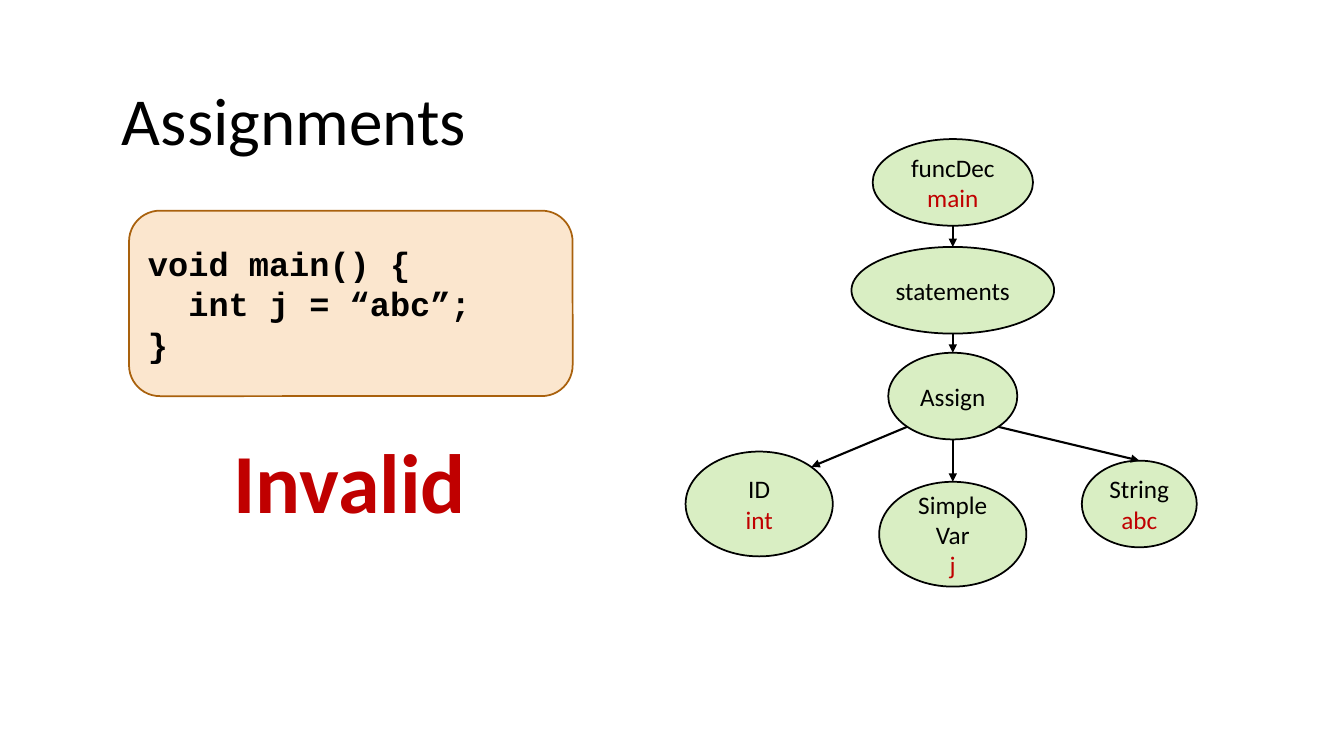
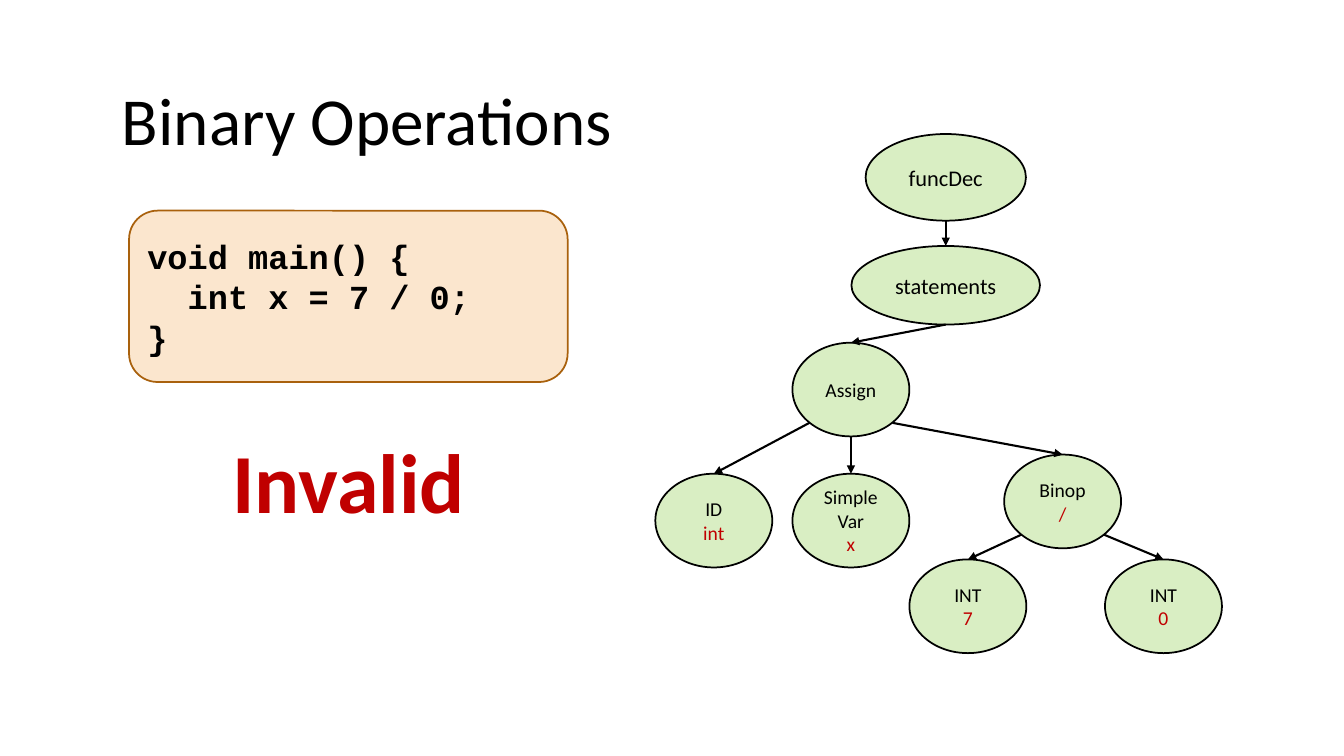
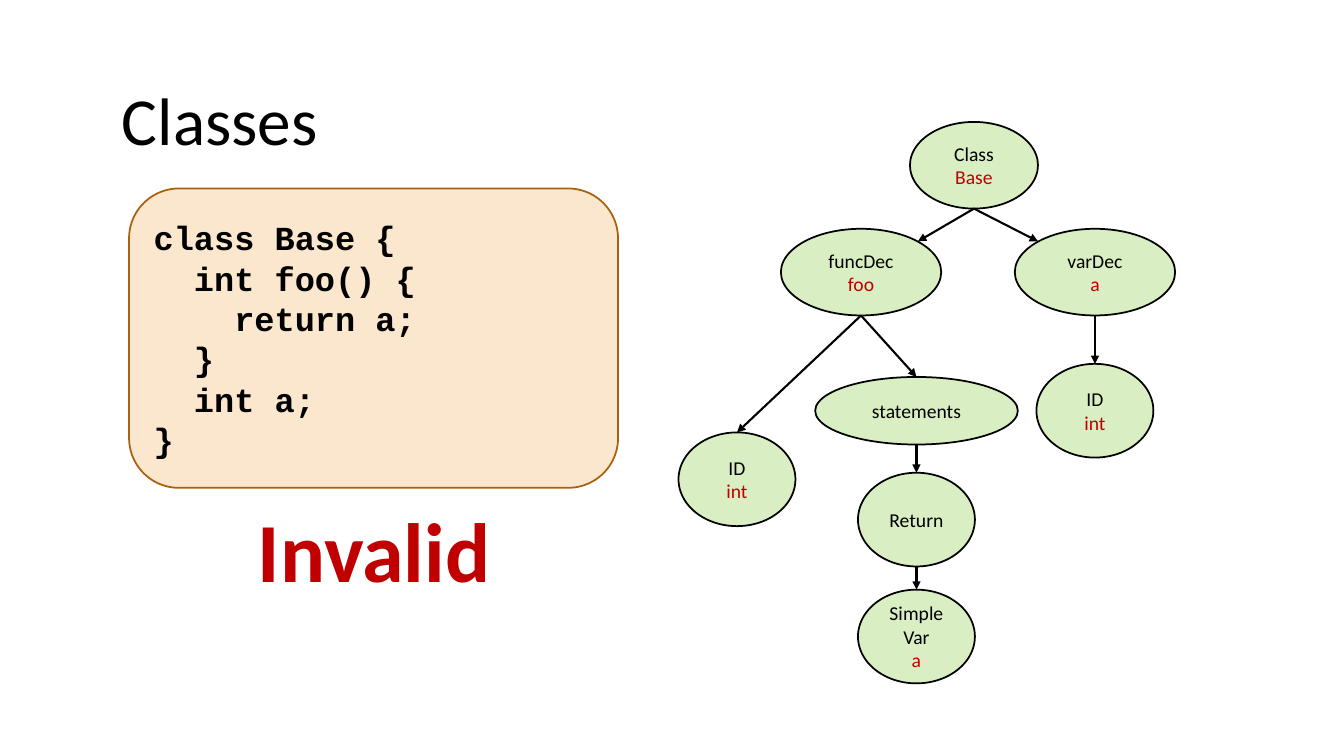
from lxml import etree
from pptx import Presentation
from pptx.dml.color import RGBColor
from pptx.enum.shapes import MSO_CONNECTOR, MSO_SHAPE
from pptx.enum.text import MSO_ANCHOR, MSO_AUTO_SIZE, PP_ALIGN
from pptx.oxml.ns import qn
from pptx.util import Inches, Pt

BLACK = RGBColor(0x00, 0x00, 0x00)
RED = RGBColor(0xC0, 0x00, 0x00)
GREEN = RGBColor(0x92, 0xD0, 0x50)
CREAM = RGBColor(0xFB, 0xE6, 0xCE)
BROWN = RGBColor(0xA9, 0x61, 0x0D)
BODY, MONO = "Calibri", "Courier New"
LEFT, CENTER = PP_ALIGN.LEFT, PP_ALIGN.CENTER
TOP, MIDDLE = MSO_ANCHOR.TOP, MSO_ANCHOR.MIDDLE
OVAL, ROUND = MSO_SHAPE.OVAL, MSO_SHAPE.ROUNDED_RECTANGLE
STRAIGHT = MSO_CONNECTOR.STRAIGHT
NO_FIT = MSO_AUTO_SIZE.NONE

TITLE_BOX = (1.11, 0.73, 11.09, 0.91)
TITLE_ONLY = 5
ALPHA = 34000

# Where an arrow meets an oval, in half widths and half heights from its centre
DIAG = 0.71
SITES = {
    "top": (0, -1), "bottom": (0, 1),
    "top left": (-DIAG, -DIAG), "top right": (DIAG, -DIAG),
    "low left": (-DIAG, DIAG), "low right": (DIAG, DIAG),
}
DOWN = ("bottom", "top")

# Each slide: title, code, boxes, tree origin, nodes and edges.
# Node: text, red value, centre x, top, width, height, font size.
# Edge: parent, child, site on the parent, site on the child.
SMALL = (1.16, 0.93, 14)
WIDE = (1.59, 0.86)
PAGES = [
    {
        "title": "Assignments",
        "code": "void main() {\n  int j = “abc”;\n}",
        "panel": (1.28, 2.09, 4.4, 1.84),
        "verdict": (1.94, 4.21, 3.06, 1.11),
        "origin": (6.8, 1.38),
        "nodes": {
            "func": ("funcDec", "main", 2.65, 0, *WIDE, 18),
            "body": ("statements", "", 2.65, 1.07, 2.01, 0.86, 18),
            "assign": ("Assign", "", 2.65, 2.12, 1.28, 0.86, 18),
            "type": ("ID", "int", 0.73, 3.1, 1.46, 1.04, 18),
            "var": ("Simple\nVar", "j", 2.65, 3.4, 1.46, 1.04, 18),
            "string": ("String", "abc", 4.5, 3.19, 1.14, 0.86, 18),
        },
        "edges": [
            ("func", "body", *DOWN),
            ("body", "assign", *DOWN),
            ("assign", "type", "low left", "top right"),
            ("assign", "var", *DOWN),
            ("assign", "string", "low right", "top"),
        ],
    },
    {
        "title": "Binary Operations",
        "code": "void main() {\n  int x = 7 / 0;\n}",
        "panel": (1.28, 2.09, 4.35, 1.7),
        "verdict": (1.93, 4.21, 3.06, 1.11),
        "origin": (6.5, 1.33),
        "nodes": {
            "func": ("funcDec", "", 2.88, 0, *WIDE, 16),
            "body": ("statements", "", 2.88, 1.11, 1.87, 0.78, 16),
            "assign": ("Assign", "", 1.94, 2.07, *SMALL),
            "type": ("ID", "int", 0.58, 3.37, *SMALL),
            "var": ("Simple\nVar", "x", 1.94, 3.37, *SMALL),
            "binop": ("Binop", "/", 4.04, 3.18, *SMALL),
            "seven": ("INT", "7", 3.1, 4.22, *SMALL),
            "zero": ("INT", "0", 5.04, 4.22, *SMALL),
        },
        "edges": [
            ("func", "body", *DOWN),
            ("body", "assign", *DOWN),
            ("assign", "type", "low left", "top"),
            ("assign", "var", *DOWN),
            ("assign", "binop", "low right", "top"),
            ("binop", "seven", "low left", "top"),
            ("binop", "zero", "low right", "top"),
        ],
    },
    {
        "title": "Classes",
        "code": "class Base {\n  int foo() {\n    return a;\n  }\n  int a;\n}",
        "panel": (1.28, 1.87, 4.85, 2.97),
        "verdict": (2.18, 4.9, 3.06, 1.11),
        "origin": (6.73, 1.21),
        "nodes": {
            "class": ("Class", "Base", 2.93, 0, 1.27, 0.86, 14),
            "func": ("funcDec", "foo", 1.81, 1.06, *WIDE, 14),
            "field": ("varDec", "a", 4.13, 1.06, *WIDE, 14),
            "type": ("ID", "int", 0.58, 3.08, *SMALL),
            "body": ("statements", "", 2.36, 2.53, 2.01, 0.67, 14),
            "return": ("Return", "", 2.36, 3.48, *SMALL),
            "var": ("Simple\nVar", "a", 2.36, 4.64, *SMALL),
            "kind": ("ID", "int", 4.13, 2.4, *SMALL),
        },
        "edges": [
            ("class", "func", "bottom", "top right"),
            ("class", "field", "bottom", "top left"),
            ("func", "type", *DOWN),
            ("func", "body", *DOWN),
            ("body", "return", *DOWN),
            ("return", "var", *DOWN),
            ("field", "kind", *DOWN),
        ],
    },
]


def inches(*sizes):
    return [Inches(size) for size in sizes]


def write(shape, text, size, font=BODY, color=BLACK, bold=False,
          align=LEFT, anchor=MIDDLE):
    """Set the text of a shape and format all its runs."""
    frame = shape.text_frame
    frame.text = text
    frame.word_wrap = True
    frame.auto_size = NO_FIT
    frame.vertical_anchor = anchor
    for para in frame.paragraphs:
        para.alignment = align
        for run in para.runs:
            run.font.name = font
            run.font.size = Pt(size)
            run.font.bold = bold
            run.font.color.rgb = color
    return frame


def add_form(slide, kind, box, fill, line):
    shape = slide.shapes.add_shape(kind, *inches(*box))
    shape.shadow.inherit = False
    shape.fill.solid()
    shape.fill.fore_color.rgb = fill
    shape.line.color.rgb = line
    shape.line.width = Pt(1.25)
    return shape


def add_title(slide, text):
    title = slide.shapes.title
    title.left, title.top, title.width, title.height = inches(*TITLE_BOX)
    write(title, text, 48, anchor=TOP)


def add_code(slide, box, text):
    panel = add_form(slide, ROUND, box, CREAM, BROWN)
    write(panel, text, 24, font=MONO, bold=True)


def add_verdict(slide, box):
    label = slide.shapes.add_textbox(*inches(*box))
    write(label, "Invalid", 60, color=RED, bold=True, align=CENTER, anchor=TOP)


def add_node(slide, box, text, value, size):
    """Draw an oval with its name and, below it, a red value."""
    oval = add_form(slide, OVAL, box, GREEN, BLACK)
    tint = oval._element.spPr.find(qn("a:solidFill")).find(qn("a:srgbClr"))
    etree.SubElement(tint, qn("a:alpha")).set("val", str(ALPHA))
    label = f"{text}\n{value}" if value else text
    frame = write(oval, label, size, align=CENTER)
    frame.margin_left = frame.margin_right = 0
    if value:
        frame.paragraphs[-1].runs[0].font.color.rgb = RED


def find_site(box, name):
    left, top, width, height = box
    across, down = SITES[name]
    return left + width / 2 * (1 + across), top + height / 2 * (1 + down)


def add_arrow(slide, start, end):
    arrow = slide.shapes.add_connector(STRAIGHT, *inches(*start, *end))
    arrow.line.color.rgb = BLACK
    arrow.line.width = Pt(1.5)
    props = arrow._element.spPr
    etree.SubElement(props.find(qn("a:ln")), qn("a:tailEnd")).set("type", "triangle")
    etree.SubElement(props, qn("a:effectLst"))


def add_tree(slide, origin, nodes, edges):
    """Draw a syntax tree, its nodes placed relative to the origin."""
    left, top = origin
    boxes = {}
    for name, (text, value, mid, drop, width, height, size) in nodes.items():
        boxes[name] = (left + mid - width / 2, top + drop, width, height)
        add_node(slide, boxes[name], text, value, size)
    for parent, child, leave, enter in edges:
        add_arrow(slide, find_site(boxes[parent], leave),
                  find_site(boxes[child], enter))


def add_page(deck, page):
    slide = deck.slides.add_slide(deck.slide_layouts[TITLE_ONLY])
    add_title(slide, page["title"])
    add_code(slide, page["panel"], page["code"])
    add_verdict(slide, page["verdict"])
    add_tree(slide, page["origin"], page["nodes"], page["edges"])


def main():
    deck = Presentation()
    deck.slide_width, deck.slide_height = inches(13.33, 7.5)
    for page in PAGES:
        add_page(deck, page)
    deck.save("out.pptx")


if __name__ == "__main__":
    main()
